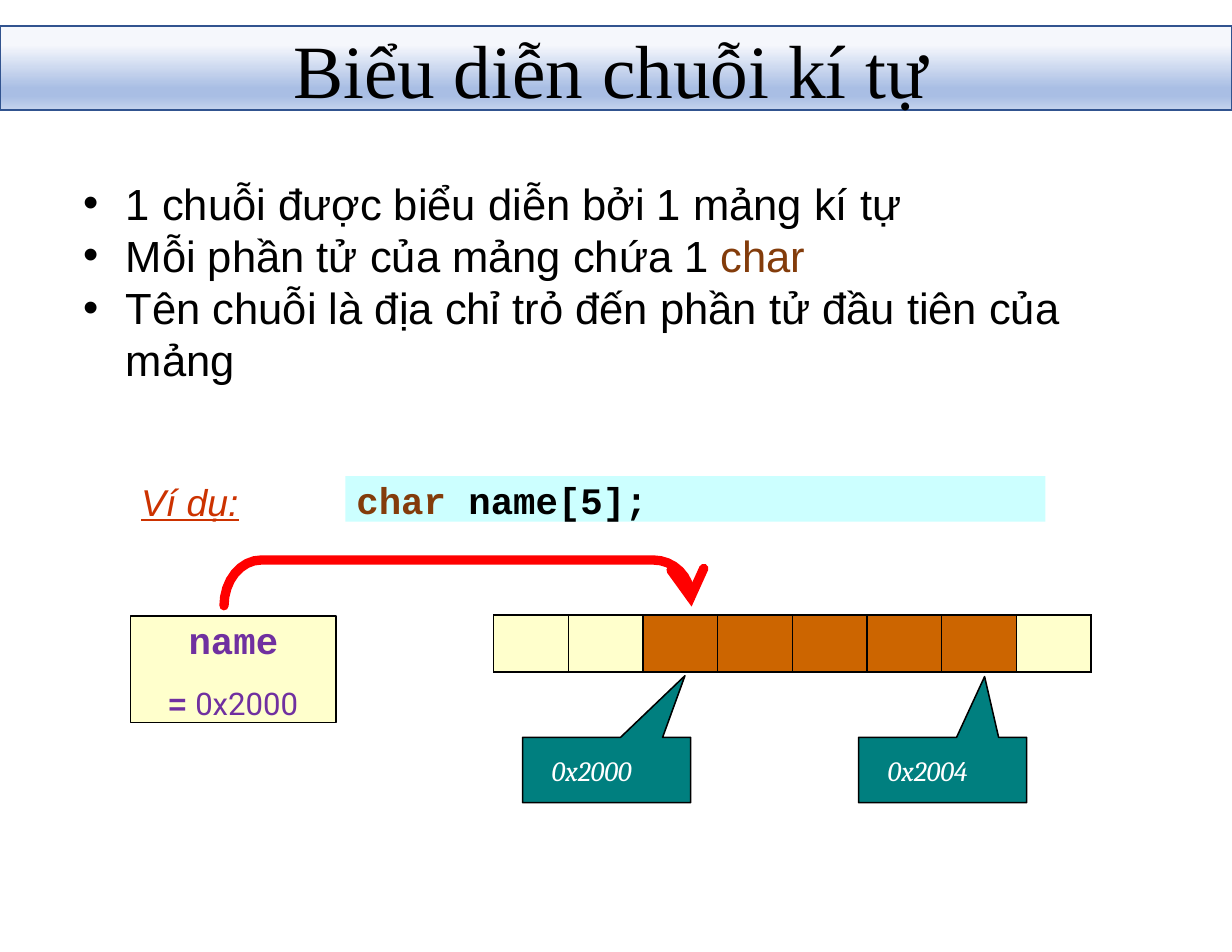
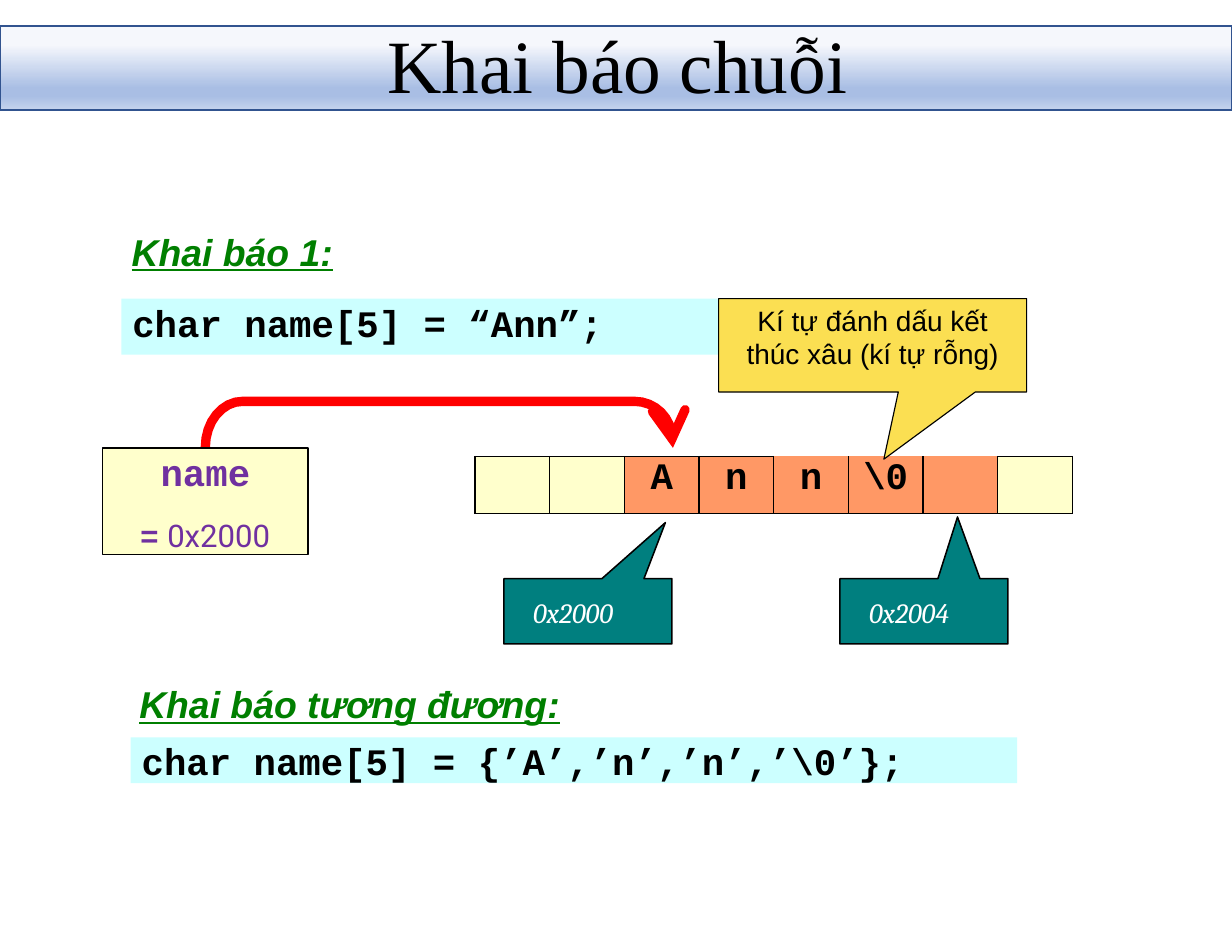
from math import cos, pi, sin

from lxml import etree
from pptx import Presentation
from pptx.dml.color import RGBColor
from pptx.enum.shapes import MSO_SHAPE
from pptx.enum.text import MSO_ANCHOR, PP_ALIGN
from pptx.oxml.ns import qn
from pptx.util import Inches, Pt

RECT, CALLOUT = MSO_SHAPE.RECTANGLE, MSO_SHAPE.RECTANGULAR_CALLOUT
TOP, MIDDLE = MSO_ANCHOR.TOP, MSO_ANCHOR.MIDDLE
LEFT, CENTER = PP_ALIGN.LEFT, PP_ALIGN.CENTER

BLACK = RGBColor(0x00, 0x00, 0x00)
WHITE = RGBColor(0xFF, 0xFF, 0xFF)
RED = RGBColor(0xFF, 0x00, 0x00)
BROWN = RGBColor(0x83, 0x3C, 0x0B)
RUST = RGBColor(0xCC, 0x32, 0x00)
GREEN = RGBColor(0x00, 0x7F, 0x00)
PURPLE = RGBColor(0x70, 0x30, 0xA0)
TEAL = RGBColor(0x00, 0x7F, 0x7F)
CYAN = RGBColor(0xCC, 0xFF, 0xFF)
CREAM = RGBColor(0xFF, 0xFF, 0xCC)
YELLOW = RGBColor(0xFB, 0xDF, 0x52)
ORANGE = RGBColor(0xCC, 0x65, 0x00)
SALMON = RGBColor(0xFF, 0x98, 0x65)
BAND_EDGE = RGBColor(0x31, 0x53, 0x8F)
BAND_STOPS = [(0, "F5F7FC"), (22, "F5F7FC"), (74, "A9BEE4"),
              (83, "A9BEE4"), (100, "C5D3ED")]
SANS, MONO = "Arial", "Courier New"

prs = Presentation()
prs.slide_width, prs.slide_height = Inches(11), Inches(8.5)
UNIT = prs.slide_width // 132  # grid of 132 columns by 102 rows


def add_box(s, grid, kind=None, fill=None, line=None, anchor=TOP,
            align=LEFT, inset=0.01, line_width=1):
    """Add a text box, or a shape of the given kind, on the grid."""
    place = [round(v * UNIT) for v in grid]
    if kind is None:
        sp = s.shapes.add_textbox(*place)
    else:
        sp = s.shapes.add_shape(kind, *place)
        sp.shadow.inherit = False
        if fill is not None:
            sp.fill.solid()
            sp.fill.fore_color.rgb = fill
        if line is None:
            sp.line.fill.background()
        else:
            sp.line.color.rgb = line
            sp.line.width = Pt(line_width)
    tf = sp.text_frame
    tf.word_wrap = True
    tf.vertical_anchor = anchor
    tf.margin_left = Inches(inset)
    tf.margin_right = tf.margin_bottom = 0
    tf.margin_top = Inches(0.01)
    tf.paragraphs[0].alignment = align
    return sp


def add_run(p, text, size, color=BLACK, font=SANS, bold=False,
            italic=False, underline=False):
    r = p.add_run()
    r.text = text
    r.font.size, r.font.name, r.font.color.rgb = Pt(size), font, color
    r.font.bold, r.font.italic, r.font.underline = bold, italic, underline


# What differs between the two slides' titles and memory diagrams
SLIDES = [
    dict(title="Biểu diễn chuỗi kí tự", title_at=(31.3, 2.3, 69.6, 10),
         shift=(0, 0), name_at=(14, 66), used=ORANGE, letters=[""] * 8,
         open_top=(), tips=[(73.4, 72.4), (105.5, 72.5)]),
    dict(title="Khai báo chuỗi", title_at=(41.4, 1.7, 51, 10),
         shift=(-2, -17), name_at=(11, 48), used=SALMON,
         letters=["", "", "A", "n", "n", "\\0", "", ""],
         open_top=(4, 5, 6), tips=[(71.3, 56), (102.6, 55.4)]),
]

for spec_row in SLIDES:
    s = prs.slides.add_slide(prs.slide_layouts[6])
    dx, dy = spec_row["shift"]

    # Title band
    sp = add_box(s, (0, 2.8, 132, 9), RECT, line=BAND_EDGE)
    sp.fill.gradient()
    sp.fill.gradient_angle = 270
    stops = sp._element.spPr.find(".//" + qn("a:gsLst"))
    for old in list(stops):
        stops.remove(old)
    for share, color in BAND_STOPS:
        gs = etree.SubElement(stops, qn("a:gs"), pos=str(share * 1000))
        etree.SubElement(gs, qn("a:srgbClr"), val=color)
    sp = add_box(s, spec_row["title_at"], anchor=MIDDLE)
    add_run(sp.text_frame.paragraphs[0], spec_row["title"], 48.4,
            font="Times New Roman")

    # Memory cells
    tbl_frame = s.shapes.add_table(
        1, 8, round((52.9 + dx) * UNIT), round((65.9 + dy) * UNIT),
        64 * UNIT, round(6.1 * UNIT))
    tbl = tbl_frame.table
    tbl.first_row = tbl.horz_banding = False
    for i, letter in enumerate(spec_row["letters"]):
        cell = tbl.cell(0, i)
        tcPr = cell._tc.get_or_add_tcPr()
        for side in ("L", "R", "T", "B"):
            ln = etree.SubElement(tcPr, qn("a:ln" + side), w=str(Pt(1)))
            if side == "T" and i in spec_row["open_top"]:
                etree.SubElement(ln, qn("a:noFill"))
            else:
                solid = etree.SubElement(ln, qn("a:solidFill"))
                etree.SubElement(solid, qn("a:srgbClr"), val=str(BLACK))
        cell.fill.solid()
        cell.fill.fore_color.rgb = spec_row["used"] if 2 <= i <= 6 else CREAM
        cell.margin_left = cell.margin_right = cell.margin_bottom = 0
        cell.margin_top = Inches(0.02)
        if letter:
            p = cell.text_frame.paragraphs[0]
            p.alignment = CENTER
            add_run(p, letter, 24, font=MONO, bold=True)

    # Pointer arrow: two rounded corners, then the head
    quarter = [i * pi / 16 for i in range(9)]
    shaft = [(28 - 4 * cos(a), 64.9 - 4.9 * sin(a)) for a in quarter]
    shaft += [(70 + 4 * sin(a), 64 - 4 * cos(a)) for a in quarter]
    head = [(71.9, 61.1), (74, 64), (75.4, 60.9)]
    for points in (shaft, head):
        emu = [((x + dx) * UNIT, (y + dy) * UNIT) for x, y in points]
        fb = s.shapes.build_freeform(*emu[0])
        fb.add_line_segments(emu[1:], close=False)
        sp = fb.convert_to_shape()
        sp.shadow.inherit = False
        sp.fill.background()
        sp.line.color.rgb = RED
        sp.line.width = Pt(6)
        ln = sp._element.spPr.find(qn("a:ln"))
        ln.set("cap", "rnd")
        etree.SubElement(ln, qn("a:miter"), lim="800000")

    # Pointer variable
    sp = add_box(s, (*spec_row["name_at"], 22, 11.4), RECT, CREAM, BLACK,
                 align=CENTER, inset=0)
    tf = sp.text_frame
    add_run(tf.paragraphs[0], "name", 24, PURPLE, MONO, bold=True)
    p = tf.add_paragraph()
    p.alignment = CENTER
    p.space_before = Pt(14.3)
    add_run(p, "= ", 20, PURPLE, bold=True)
    add_run(p, "0x2000", 20, PURPLE, "Roboto")

    # Addresses of the first and last cells in use
    for x, address, tip in zip((56, 92), ("0x2000", "0x2004"),
                               spec_row["tips"]):
        left, top = x + dx, 79 + dy
        sp = add_box(s, (left, top, 18, 7), CALLOUT, TEAL, BLACK,
                     anchor=MIDDLE, inset=0.26)
        sp.adjustments[0] = (tip[0] - left) / 18 - 0.5
        sp.adjustments[1] = (tip[1] - top) / 7 - 0.5
        add_run(sp.text_frame.paragraphs[0], address, 18, WHITE, "Cambria",
                italic=True)

first, second = prs.slides

# Slide 1: bullets
tf = add_box(first, (8.8, 18.8, 111, 22.8)).text_frame
BULLETS = [
    [("1 chuỗi được biểu diễn bởi 1 mảng kí tự", BLACK)],
    [("Mỗi phần tử của mảng chứa 1 ", BLACK), ("char", BROWN)],
    [("Tên chuỗi là địa chỉ trỏ đến phần tử đầu tiên của mảng", BLACK)],
]
for i, runs in enumerate(BULLETS):
    p = tf.add_paragraph() if i else tf.paragraphs[0]
    pPr = p._p.get_or_add_pPr()
    pPr.set("marL", str(Inches(0.38)))
    pPr.set("indent", str(-Inches(0.38)))
    etree.SubElement(pPr, qn("a:buFont"), typeface=SANS)
    etree.SubElement(pPr, qn("a:buChar"), char="•")
    for text, color in runs:
        add_run(p, text, 28, color)

# Slide 1: example
sp = add_box(first, (15, 51.2, 12, 5.2))
add_run(sp.text_frame.paragraphs[0], "Ví dụ:", 24, RUST, italic=True,
        underline=True)
sp = add_box(first, (37, 51, 75, 4.9), RECT, CYAN, inset=0.1)
p = sp.text_frame.paragraphs[0]
add_run(p, "char", 24, BROWN, MONO, bold=True)
add_run(p, " name[5];", 24, font=MONO, bold=True)

# Slide 2: the two equivalent declarations
DECLARATIONS = [
    ("Khai báo 1:", (14, 24.4, 53, 5), "char name[5] = “Ann”;",
     (13, 32, 95, 6)),
    ("Khai báo tương đương:", (14.8, 72.9, 52, 5),
     "char name[5] = {’A’,’n’,’n’,’\\0’};", (14, 79, 95, 4.9)),
]
for heading, heading_at, code, code_at in DECLARATIONS:
    sp = add_box(second, heading_at)
    add_run(sp.text_frame.paragraphs[0], heading, 24, GREEN, bold=True,
            italic=True, underline=True)
    sp = add_box(second, code_at, RECT, CYAN, inset=0.1)
    add_run(sp.text_frame.paragraphs[0], code, 24, font=MONO, bold=True)

# Slide 2: note on the terminating character
sp = add_box(second, (77, 32, 33, 10), CALLOUT, YELLOW, BLACK, align=CENTER,
             inset=0, line_width=0.75)
sp.adjustments[0] = (94.7 - 77) / 33 - 0.5
sp.adjustments[1] = (49.2 - 32) / 10 - 0.5
tf = sp.text_frame
tf.margin_left = tf.margin_right = Inches(0.2)
tf.margin_top = Inches(0.04)
add_run(tf.paragraphs[0], "Kí tự đánh dấu kết thúc xâu (kí tự rỗng)", 18)

prs.save("out.pptx")
